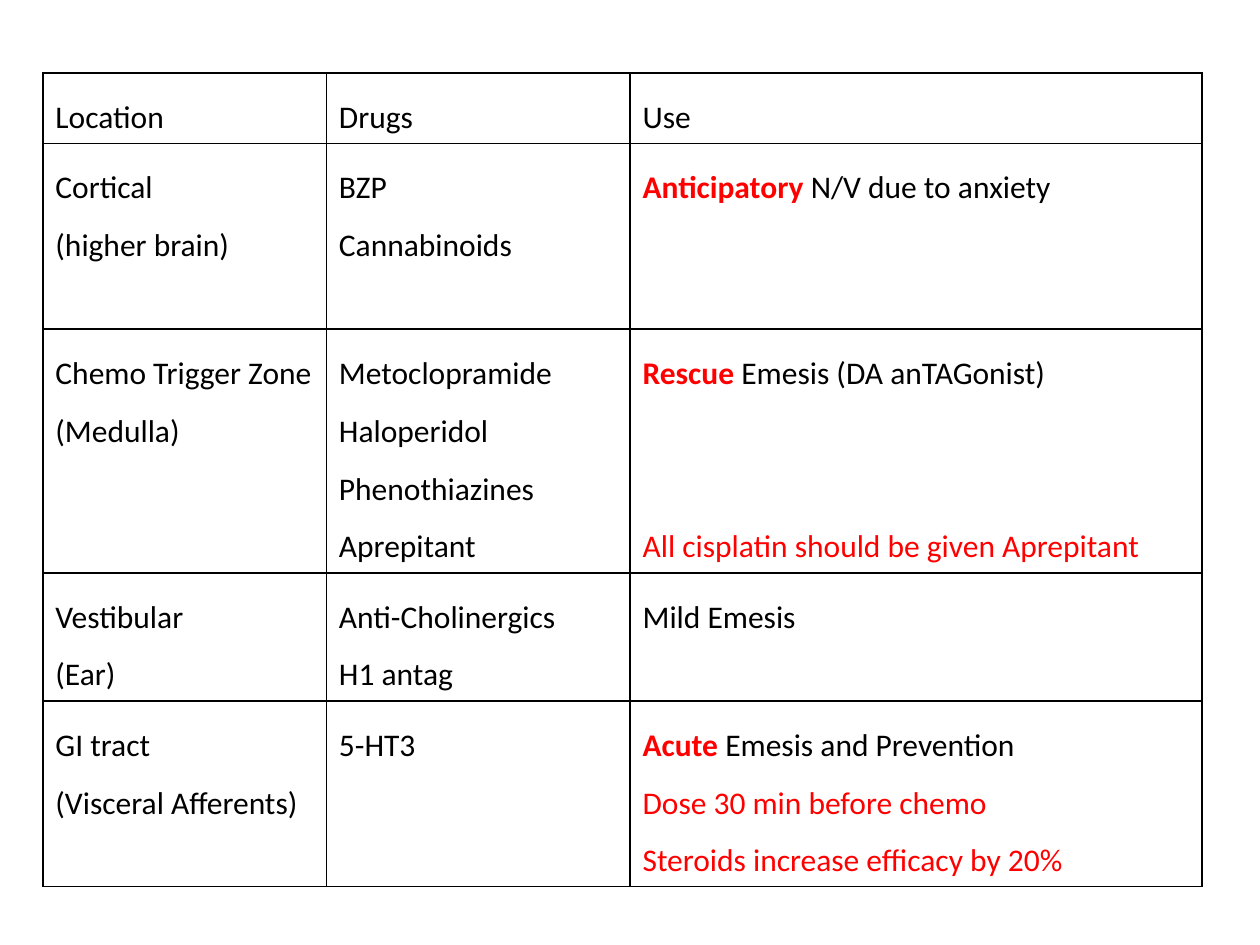
from dataclasses import dataclass

from lxml import etree
from pptx import Presentation
from pptx import util as u
from pptx.dml.color import RGBColor
from pptx.oxml.ns import qn


@dataclass(frozen=True)
class Theme:
    font: str = "Calibri"
    size: int = 18
    line_spacing: float = 1.5
    line_pitch: int = 33  # points from one line of text to the next
    ink: str = "000000"
    accent: str = "FF0000"
    border: float = 1


THEME = Theme()
MARGIN = 0.05  # above and below the text of a cell
LEFT, TOP = 0.34, 0.58
COLUMNS = [2.25, 2.41, 4.54]

# A paragraph is (key word, plain text, red text, lines skipped before it)


def plain(*lines):
    return [("", line, "", 0) for line in lines]


def keyed(word, rest):
    return ("  ".strip() + word, rest, "", 0)


def red(line, skipped=0):
    return ("", "", line, skipped)


# Each row: its height in lines, then location, drugs and use
ROWS = [
    (1, plain("Location"), plain("Drugs"), plain("Use")),
    (3, plain("Cortical", "(higher brain)"),
     plain("BZP", "Cannabinoids"),
     [keyed("Anticipatory ", "N/V due to anxiety")]),
    (4, plain("Chemo Trigger Zone", "(Medulla)"),
     plain("Metoclopramide", "Haloperidol", "Phenothiazines", "Aprepitant"),
     [keyed("Rescue ", "Emesis (DA anTAGonist)"),
      red("All cisplatin should be given Aprepitant", skipped=2)]),
    (2, plain("Vestibular", "(Ear)"),
     plain("Anti-Cholinergics", "H1 antag"),
     plain("Mild Emesis")),
    (3, plain("GI tract", "(Visceral Afferents)"),
     plain("5-HT3"),
     [keyed("Acute ", "Emesis and Prevention"),
      red("Dose 30 min before chemo"),
      red("Steroids increase efficacy by 20%")]),
]


def row_height(lines):
    return u.Inches(2 * MARGIN) + u.Pt(lines * THEME.line_pitch)


def add_borders(cell):
    properties = cell._tc.get_or_add_tcPr()
    for side in ("lnL", "lnR", "lnT", "lnB"):
        line = etree.SubElement(properties, qn(f"a:{side}"),
                                w=str(u.Pt(THEME.border)))
        fill = etree.SubElement(line, qn("a:solidFill"))
        etree.SubElement(fill, qn("a:srgbClr"), val=THEME.ink)


def write_paragraph(paragraph, content):
    key_word, body, warning, skipped = content
    paragraph.line_spacing = THEME.line_spacing
    if skipped:
        paragraph.space_before = u.Pt(skipped * THEME.line_pitch)
    paragraph.font.name = THEME.font
    paragraph.font.size = u.Pt(THEME.size)
    for words, color, bold in ((key_word, THEME.accent, True),
                               (body, THEME.ink, False),
                               (warning, THEME.accent, False)):
        if words:
            run = paragraph.add_run()
            run.text = words
            run.font.bold = bold
            run.font.color.rgb = RGBColor.from_string(color)


def fill_cell(cell, paragraphs):
    add_borders(cell)
    cell.fill.background()
    cell.margin_top = cell.margin_bottom = u.Inches(MARGIN)
    frame = cell.text_frame
    for index, content in enumerate(paragraphs):
        paragraph = frame.add_paragraph() if index else frame.paragraphs[0]
        write_paragraph(paragraph, content)


def add_drug_table(slide):
    heights = [row_height(lines) for lines, *_ in ROWS]
    table = slide.shapes.add_table(
        len(ROWS), len(COLUMNS), u.Inches(LEFT), u.Inches(TOP),
        u.Inches(sum(COLUMNS)), sum(heights)).table
    table.first_row = table.horz_banding = False
    for column, width in zip(table.columns, COLUMNS):
        column.width = u.Inches(width)
    for row, height, (_, *cells) in zip(table.rows, heights, ROWS):
        row.height = height
        for cell, paragraphs in zip(row.cells, cells):
            fill_cell(cell, paragraphs)


def main():
    deck = Presentation()
    deck.slide_width, deck.slide_height = u.Inches(10), u.Inches(7.5)
    # No title on this slide, so the blank layout
    slide = deck.slides.add_slide(deck.slide_layouts[6])
    add_drug_table(slide)
    deck.save("out.pptx")


if __name__ == "__main__":
    main()
